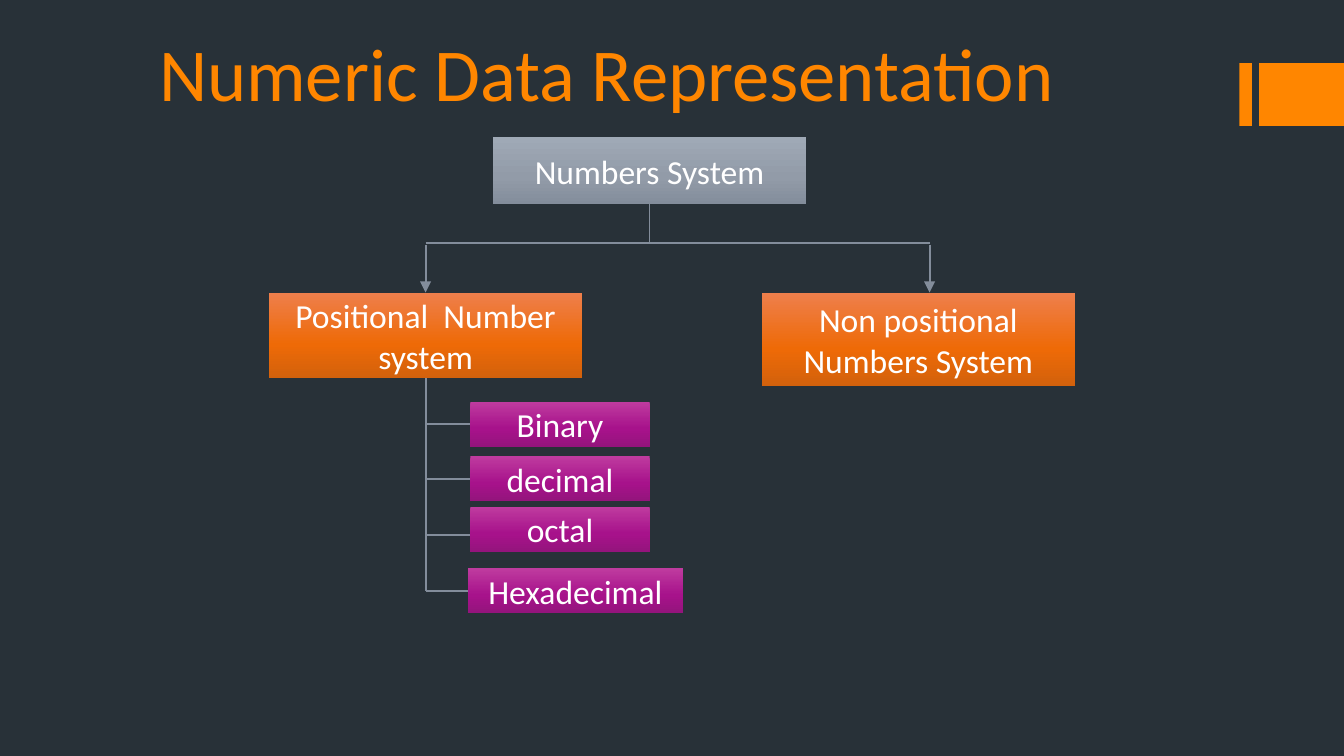
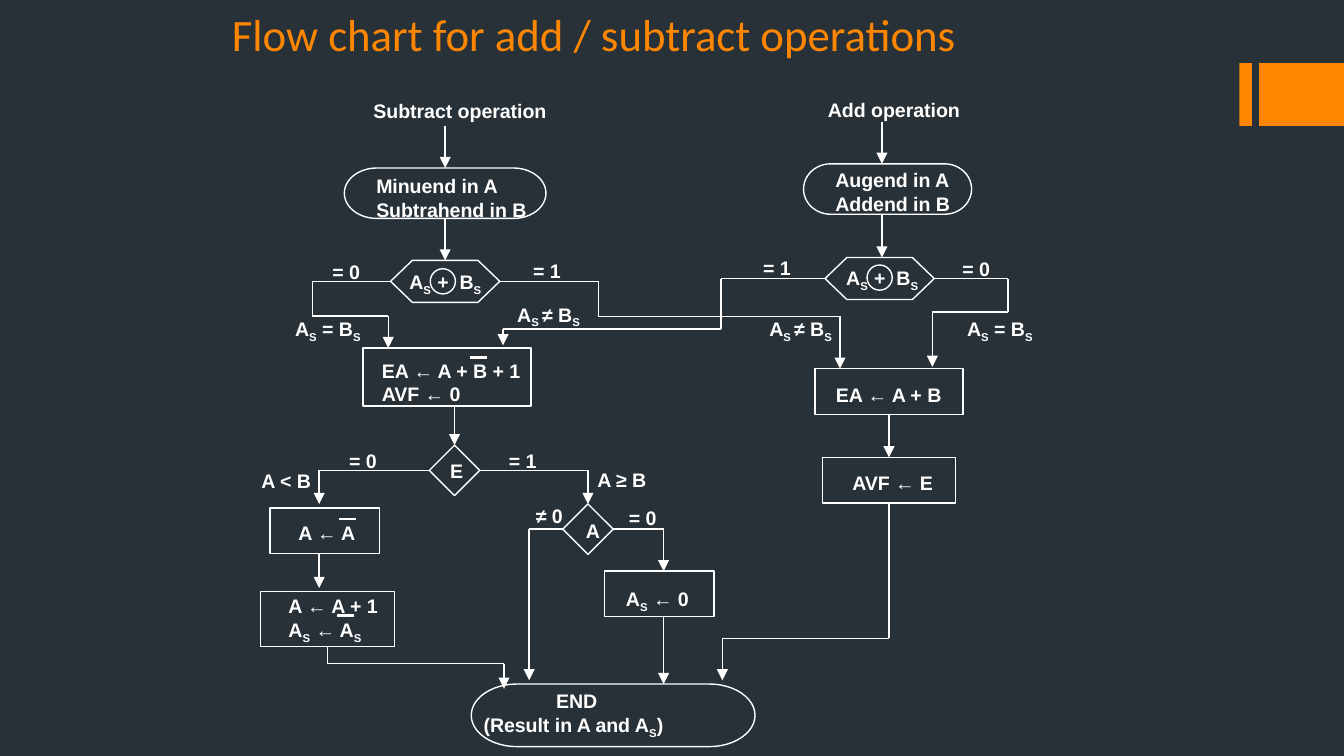
from copy import deepcopy
from itertools import pairwise
from lxml.etree import SubElement
from pptx import Presentation
from pptx.dml.color import RGBColor
from pptx.enum.shapes import MSO_CONNECTOR, MSO_SHAPE
from pptx.enum.text import MSO_ANCHOR, MSO_AUTO_SIZE, PP_ALIGN
from pptx.oxml.ns import qn
from pptx.util import Pt

DARK, ORANGE, WHITE, GREY = "283138", "FF8600", "FFFFFF", "838D9B"
STEEL = ("9FA9B6", "929BA8", GREY)
AMBER = ("EE7F4C", "EE6A07", "D2610C")
PLUM = ("BF3B9F", "A7128B", "94147C")
TOP, LEFT, BOTTOM, RIGHT = range(4)


def tone(code):
    return RGBColor.from_string(code)


def style(run, face, size, color, bold=False):
    font = run.font
    font.name, font.size, font.bold = face, Pt(size), bold
    font.color.rgb = tone(color)


def shape(slide, kind, spot):
    item = slide.shapes.add_shape(kind, *map(Pt, spot))
    item.shadow.inherit = False
    item.fill.background()
    item.line.fill.background()
    return item


def master(deck, slide):
    layout = slide.slide_layout
    back = deck.slide_master.background.fill
    back.solid()
    back.fore_color.rgb = tone(DARK)
    for mark, (x, width) in enumerate([(664, 6.75), (674.5, 45.5)], 50):
        band = shape(slide, MSO_SHAPE.RECTANGLE, (x, 33.75, width, 33.75))
        band.fill.solid()
        band.fill.fore_color.rgb = tone(ORANGE)
        band.element.nvSpPr.cNvPr.set("id", str(mark))
        layout.shapes.element.append(band.element)


def title(slide, text, size, spot):
    head = slide.shapes.title
    head.left, head.top, head.width, head.height = map(Pt, spot)
    frame = head.text_frame
    frame.text = text
    frame.vertical_anchor = MSO_ANCHOR.BOTTOM
    frame.auto_size = MSO_AUTO_SIZE.NONE
    line = frame.paragraphs[0]
    line.alignment = PP_ALIGN.LEFT
    style(line.runs[0], "Calibri", size, ORANGE)


def box(slide, text, shades, spot):
    item = shape(slide, MSO_SHAPE.RECTANGLE, spot)
    item.fill.gradient()
    item.fill.gradient_angle = 270
    stops = item.element.spPr.find(".//" + qn("a:gsLst"))
    stops.insert(0, deepcopy(stops[0]))
    for stop, shade, place in zip(item.fill.gradient_stops, shades, (0, 0.6, 1)):
        stop.color.rgb = tone(shade)
        stop.position = place
    frame = item.text_frame
    frame.text = text
    frame.word_wrap = True
    frame.vertical_anchor = MSO_ANCHOR.MIDDLE
    line = frame.paragraphs[0]
    line.alignment = PP_ALIGN.CENTER
    style(line.runs[0], "Calibri", 18, WHITE)
    return item


def outline(slide, kind, *spot):
    item = shape(slide, kind, spot)
    item.line.color.rgb = tone(WHITE)
    item.line.width = Pt(0.75)
    return item


def write(item, text, wrap=False):
    frame = item.text_frame
    frame.word_wrap = wrap
    frame.auto_size = MSO_AUTO_SIZE.SHAPE_TO_FIT_TEXT
    frame.vertical_anchor = MSO_ANCHOR.TOP
    for row, words in enumerate(text.split("\n")):
        line = frame.add_paragraph() if row else frame.paragraphs[0]
        line.alignment = PP_ALIGN.LEFT
        for part, piece in enumerate(words.split("|")):
            if not piece:
                continue
            run = line.add_run()
            run.text = piece
            style(run, "Arial", 10.5, WHITE, True)
            if part % 2:
                run.font.size = Pt(10.5)
                run._r.get_or_add_rPr().set("baseline", "-25000")


def label(slide, text, x, y, width):
    height = 32.5 if "\n" in text else 20
    item = slide.shapes.add_textbox(*map(Pt, (x, y, width, height)))
    write(item, text)
    return item


def point(stop):
    item, side = stop
    if isinstance(item, (int, float)):
        return stop
    x, y, width, height = (n.pt for n in (item.left, item.top, item.width, item.height))
    across, down = {TOP: (0.5, 0), LEFT: (0, 0.5), BOTTOM: (0.5, 1), RIGHT: (1, 0.5)}[side]
    return x + width * across, y + height * down


def route(slide, *stops, tip=True, color=WHITE, width=0.75):
    for start, end in pairwise(stops):
        ends = map(Pt, point(start) + point(end))
        line = slide.shapes.add_connector(MSO_CONNECTOR.STRAIGHT, *ends)
        line.line.color.rgb = tone(color)
        line.line.width = Pt(width)
        if not isinstance(start[0], (int, float)):
            line.begin_connect(*start)
        if not isinstance(end[0], (int, float)):
            line.end_connect(*end)
        if tip and end is stops[-1]:
            SubElement(line.line._get_or_add_ln(), qn("a:tailEnd"), type="triangle")
        SubElement(line.element.spPr, qn("a:effectLst"))


def tree(slide):
    title(slide, "Numeric Data Representation", 40, (78, -2, 576, 68.25))
    root = box(slide, "Numbers System", STEEL, (264, 73.5, 168, 36))
    box(slide, "Non positional Numbers System", AMBER, (408, 156.75, 168, 50.25))
    base = box(slide, "Positional  Number system", AMBER, (144, 156.75, 168, 46))

    def link(*stops, tip=False):
        route(slide, *stops, tip=tip, color=GREY, width=1)

    link((root, BOTTOM), (348, 130.25))
    link((228, 130.25), (498, 130.25))
    link((228, 131), (base, TOP), tip=True)
    link((498, 131), (498, 156.75), tip=True)
    link((base, BOTTOM), (228, 316.5))
    for text, x, y, width in [
        ("Binary", 252, 215.25, 96),
        ("decimal", 252, 244.5, 96),
        ("octal", 252, 271.5, 96),
        ("Hexadecimal", 250.5, 304.5, 115.5),
    ]:
        leaf = box(slide, text, PLUM, (x, y, width, 24))
        if text == "octal":
            link((228, 286.5), (252, 286.5))
        else:
            link((228, y + 12), (leaf, LEFT))


def flow(slide):
    title(slide, "Flow chart for add / subtract operations", 24, (117, 0, 486, 36))
    rect, pill = MSO_SHAPE.RECTANGLE, MSO_SHAPE.FLOWCHART_TERMINATOR
    gem, hexa = MSO_SHAPE.FLOWCHART_DECISION, MSO_SHAPE.FLOWCHART_PREPARATION

    note = shape(slide, pill, (188.5, 83, 128, 46))
    write(note, "Minuend in A\nSubtrahend in B", True)
    minus = outline(slide, pill, 184.5, 90, 108, 27)
    outline(slide, pill, 430.5, 87.75, 90, 27)
    sign = outline(slide, hexa, 209.25, 139.5, 58.5, 22.5)
    test = outline(slide, hexa, 442, 138, 58.5, 22.5)
    for x, y in [(230.5, 144), (464.5, 142)]:
        outline(slide, MSO_SHAPE.OVAL, x, y, 13.5, 13.5)
    outline(slide, rect, 194.5, 186.5, 90, 31)
    total = outline(slide, rect, 436.5, 197.5, 79.5, 24.5)
    over = outline(slide, rect, 440.75, 245, 71, 24.5)
    carry = outline(slide, gem, 230, 238.5, 27, 27)
    zero = outline(slide, gem, 301.5, 270, 27, 27)
    outline(slide, rect, 144.75, 272.25, 58.5, 24.5)
    outline(slide, rect, 324, 306, 58.5, 24.5)
    neg = outline(slide, rect, 139.75, 316.75, 71.5, 29.5)
    outline(slide, pill, 252.5, 366.5, 152, 33.5)

    for stops in [
        [(238.5, 67.5), (minus, TOP)],
        [(472.5, 65.5), (472.5, 87.75)],
        [(minus, BOTTOM), (sign, TOP)],
        [(472.5, 114.75), (472.5, 138)],
        [(sign, LEFT), (167.25, 150.75), (167.25, 169.25), (208, 169.25), (208, 186.5)],
        [(sign, RIGHT), (320.5, 150.75), (320.5, 169.5), (450, 169.5), (450, 197.5)],
        [(test, LEFT), (386.25, 149.25), (386.25, 176.25), (269.5, 176.25), (269.5, 185)],
        [(test, RIGHT), (540, 149.25), (540, 167.25), (499.5, 167.25), (499.5, 196.5)],
        [(243.5, 217.5), (carry, TOP)],
        [(total, BOTTOM), (over, TOP)],
        [(over, BOTTOM), (476.25, 342), (387, 342), (387, 364.5)],
        [(carry, LEFT), (171, 252), (171, 270)],
        [(carry, RIGHT), (315, 252), (zero, TOP)],
        [(171, 296.75), (171, 315)],
        [(zero, RIGHT), (355.5, 283.5), (355.5, 306)],
        [(355.5, 330.5), (355.5, 366.5)],
        [(zero, LEFT), (283.5, 283.5), (283.5, 364.5)],
        [(neg, BOTTOM), (175.5, 355.5), (270, 355.5), (270, 369)],
    ]:
        route(slide, *stops)

    for text, x, y, width in [
        ("Subtract operation", 193, 49.75, 108.5),
        ("Add operation", 436.5, 49, 86.5),
        ("Augend in A\nAddend in B", 440.5, 86.5, 77),
        ("A|S  |+  B|S", 212.25, 141, 60.5),
        ("A|S  |+  B|S", 446.25, 139, 60.5),
        ("EA ← A + B + 1\nAVF ← 0", 197.5, 188.5, 90.5),
        ("EA ← A + B", 440.75, 201.5, 73.5),
        ("AVF ← E", 449.5, 248.5, 59),
        ("E", 234, 242.5, 26.5),
        ("A", 306.75, 274.5, 22.5),
        ("A ← A", 152.75, 275.75, 51),
        ("A ← A + 1\nA|S| ← A|S", 147.5, 314.75, 66),
        ("A|S| ← 0", 328.25, 311, 49),
        ("= 0", 171, 135.5, 29.5),
        ("= 0", 508.5, 134, 29.5),
        ("= 1", 278.5, 135.25, 29.5),
        ("= 1", 401.75, 133.5, 29.5),
        ("A|S| = B|S", 151, 166.5, 51),
        ("A|S |≠ B|S", 270, 158.5, 51),
        ("A|S |≠ B|S", 405, 166.5, 51),
        ("A|S| = B|S", 511, 166.5, 51),
        ("= 0", 180, 237, 29.5),
        ("= 1", 265.5, 237, 29.5),
        ("= 0", 329.75, 267.75, 29.5),
        ("≠ 0", 280, 266.5, 29),
        ("A < B", 133, 247.75, 42),
        ("A ≥ B", 313, 247, 42),
    ]:
        label(slide, text, x, y, width)
    finish = label(slide, "END\n(Result in A and A|S|)", 252, 365.75, 114)
    finish.text_frame.paragraphs[0].alignment = PP_ALIGN.CENTER

    for x, y in [(181.5, 278), (252, 191.5), (180.75, 329.75)]:
        route(slide, (x, y), (x + 9, y), tip=False, width=1.5)


def main():
    deck = Presentation()
    deck.slide_width, deck.slide_height = Pt(720), Pt(405)
    first, second = [deck.slides.add_slide(deck.slide_layouts[5]) for _ in range(2)]
    master(deck, first)
    tree(first)
    flow(second)
    deck.save("out.pptx")


if __name__ == "__main__":
    main()
